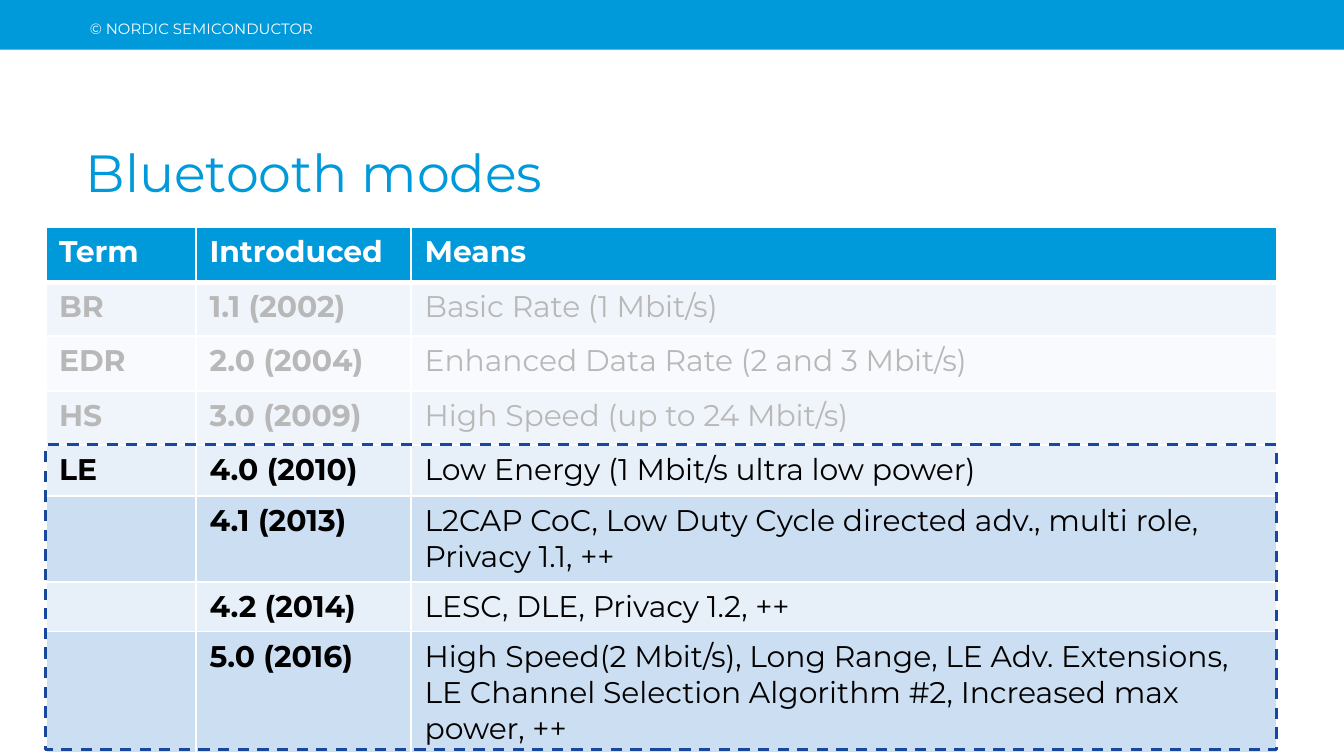
from dataclasses import dataclass

import lxml.etree
import pptx
import pptx.dml.color
import pptx.enum.dml
import pptx.enum.shapes
import pptx.enum.text
import pptx.oxml.ns
import pptx.util

Inches = pptx.util.Inches
Pt = pptx.util.Pt
FONT = "Montserrat"
BLUE, WHITE, BLACK, NAVY = "0099DA", "FFFFFF", "000000", "17479E"
BANDS = ("CCDEF1", "E7EFF8")
COLUMN_WIDTHS = (1.12, 1.6, 6.44)
TABLE_LEFT, TABLE_TOP, TABLE_WIDTH = 0.34, 1.69, sum(COLUMN_WIDTHS)


@dataclass
class Mode:
    term: str
    introduced: str
    means: str
    height: float


@dataclass
class Box:
    left: float
    top: float
    width: float
    height: float

    def lengths(self):
        return [Inches(n) for n in (self.left, self.top, self.width, self.height)]


HEADER = Mode("Term", "Introduced", "Means", 0.41)
CLASSIC_MODES = [
    Mode("BR", "1.1 (2002)", "Basic Rate (1 Mbit/s)", 0.4),
    Mode("EDR", "2.0 (2004)", "Enhanced Data Rate (2 and 3 Mbit/s)", 0.41),
    Mode("HS", "3.0 (2009)", "High Speed (up to 24 Mbit/s)", 0.4),
]
LOW_ENERGY_MODES = [
    Mode("LE", "4.0 (2010)", "Low Energy (1 Mbit/s ultra low power)", 0.38),
    Mode("", "4.1 (2013)",
         "L2CAP CoC, Low Duty Cycle directed adv., multi role, Privacy 1.1, ++", 0.64),
    Mode("", "4.2 (2014)", "LESC, DLE, Privacy 1.2, ++", 0.37),
    Mode("", "5.0 (2016)",
         "High Speed(2 Mbit/s), Long Range, LE Adv. Extensions, \n"
         "LE Channel Selection Algorithm #2, Increased max power, ++", 0.88),
]


def color(value: str) -> pptx.dml.color.RGBColor:
    return pptx.dml.color.RGBColor.from_string(value)


def style(paragraph, size: float, value: str, bold: bool = False) -> None:
    font = paragraph.font
    font.name, font.size, font.bold = FONT, Pt(size), bold
    font.color.rgb = color(value)


def write(paragraph, text: str) -> None:
    for index, line in enumerate(text.splitlines()):
        if index:
            paragraph.add_line_break()
        paragraph.add_run().text = line


def add_text(slide, box: Box, text: str, size: float, value: str, spacing, anchor) -> None:
    frame = slide.shapes.add_textbox(*box.lengths()).text_frame
    frame.word_wrap = True
    frame.vertical_anchor = anchor
    paragraph = frame.paragraphs[0]
    write(paragraph, text)
    paragraph.line_spacing = spacing
    style(paragraph, size, value)


def add_rectangle(slide, box: Box):
    shape = slide.shapes.add_shape(
        pptx.enum.shapes.MSO_SHAPE.RECTANGLE, *box.lengths())
    shape.shadow.inherit = False
    shape.fill.background()
    shape.line.fill.background()
    return shape


def fill(target, value: str) -> None:
    target.fill.solid()
    target.fill.fore_color.rgb = color(value)


def set_borders(cell, widths: dict[str, float]) -> None:
    properties = cell._tc.get_or_add_tcPr()
    for index, (side, width) in enumerate(widths.items()):
        line = lxml.etree.Element(pptx.oxml.ns.qn(f"a:{side}"), w=str(int(Pt(width))))
        solid = lxml.etree.SubElement(line, pptx.oxml.ns.qn("a:solidFill"))
        lxml.etree.SubElement(solid, pptx.oxml.ns.qn("a:srgbClr"), val=WHITE)
        properties.insert(index, line)


def add_modes_table(slide, modes: list[Mode]) -> None:
    box = Box(TABLE_LEFT, TABLE_TOP, TABLE_WIDTH, total_height(modes))
    table = slide.shapes.add_table(len(modes), len(COLUMN_WIDTHS), *box.lengths()).table
    for column, width in zip(table.columns, COLUMN_WIDTHS):
        column.width = Inches(width)
    for index, mode in enumerate(modes):
        table.rows[index].height = Inches(mode.height)
        is_header = index == 0
        for number, text in enumerate((mode.term, mode.introduced, mode.means)):
            cell = table.cell(index, number)
            fill(cell, BLUE if is_header else BANDS[(index - 1) % 2])
            set_borders(cell, {"lnL": 1, "lnR": 1, "lnT": 3 if index == 1 else 1,
                               "lnB": 3 if is_header else 1})
            paragraph = cell.text_frame.paragraphs[0]
            write(paragraph, text)
            style(paragraph, 16, WHITE if is_header else BLACK, is_header or number < 2)


def total_height(modes: list[Mode]) -> float:
    return sum(mode.height for mode in modes)


def add_fade(slide, box: Box) -> None:
    shape = add_rectangle(slide, box)
    fill(shape, WHITE)
    solid = shape.fill._xPr.find(pptx.oxml.ns.qn("a:solidFill"))
    lxml.etree.SubElement(solid[0], pptx.oxml.ns.qn("a:alpha"), val="72000")


def add_dashed_frame(slide, box: Box) -> None:
    line = add_rectangle(slide, box).line
    line.color.rgb = color(NAVY)
    line.width = Pt(1.5)
    line.dash_style = pptx.enum.dml.MSO_LINE.DASH


def main() -> None:
    presentation = pptx.Presentation()
    presentation.slide_width = Inches(10)
    presentation.slide_height = Inches(10) * 9 // 16
    slide = presentation.slides.add_slide(presentation.slide_layouts[6])
    anchors = pptx.enum.text.MSO_ANCHOR

    fill(add_rectangle(slide, Box(0, 0, 10, 0.37)), BLUE)
    add_text(slide, Box(0.57, 0.07, 3.63, 0.29), "© NORDIC SEMICONDUCTOR",
             8, WHITE, 1.2, anchors.TOP)
    add_modes_table(slide, [HEADER] + CLASSIC_MODES + LOW_ENERGY_MODES)
    add_text(slide, Box(0.54, 0.62, 8.79, 0.94), "Bluetooth modes",
             28, BLUE, Pt(35), anchors.BOTTOM)

    classic_top = TABLE_TOP + HEADER.height
    classic_height = total_height(CLASSIC_MODES)
    add_fade(slide, Box(TABLE_LEFT, classic_top, TABLE_WIDTH, classic_height))
    add_dashed_frame(slide, Box(TABLE_LEFT, classic_top + classic_height, TABLE_WIDTH,
                                total_height(LOW_ENERGY_MODES)))
    presentation.save("out.pptx")


if __name__ == "__main__":
    main()
